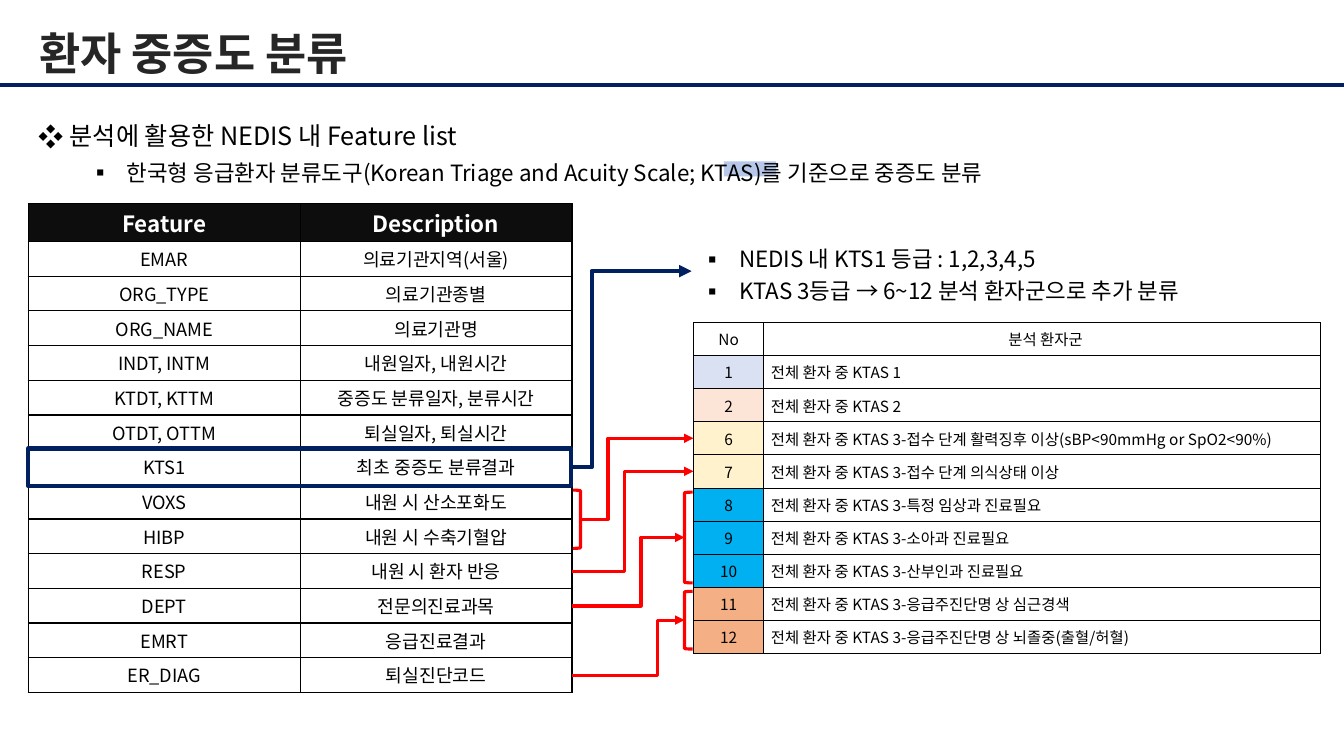
from dataclasses import dataclass

from lxml import etree
from pptx import Presentation
from pptx.dml.color import RGBColor
from pptx.enum.shapes import MSO_CONNECTOR, MSO_SHAPE
from pptx.enum.text import MSO_ANCHOR, PP_ALIGN
from pptx.oxml.ns import qn
from pptx.util import Pt

CENTER, LEFT = PP_ALIGN.CENTER, PP_ALIGN.LEFT
MIDDLE = MSO_ANCHOR.MIDDLE
STRAIGHT, ELBOW = MSO_CONNECTOR.STRAIGHT, MSO_CONNECTOR.ELBOW
RECTANGLE, BRACKET = MSO_SHAPE.RECTANGLE, MSO_SHAPE.RIGHT_BRACKET


@dataclass(frozen=True)
class Theme:
    ink: str = "000000"
    heading: str = "262626"
    navy: str = "002060"
    red: str = "FF0000"
    white: str = "FFFFFF"
    header: str = "0D0D0D"
    highlight: str = "8FAADC"
    lavender: str = "D9E1F2"
    peach: str = "FCE4D6"
    cream: str = "FFF2CC"
    blue: str = "00B0F0"
    orange: str = "F4B084"
    heading_font: str = "Calibri"
    body_font: str = "Noto Sans CJK KR"
    title_size: float = 32
    lead_size: float = 18
    point_size: float = 16
    feature_size: float = 13
    group_size: float = 11
    thick: float = 3
    medium: float = 2.25


THEME = Theme()


@dataclass(frozen=True)
class Box:
    left: float
    top: float
    width: float
    height: float

    @property
    def right(self):
        return self.left + self.width

    @property
    def middle(self):
        return self.top + self.height / 2

    @property
    def points(self):
        return Pt(self.left), Pt(self.top), Pt(self.width), Pt(self.height)


@dataclass(frozen=True)
class Grid:
    box: Box
    header: float
    row: float

    def rows(self, first, last):
        top = self.box.top + self.header + self.row * (first - 1)
        return Box(self.box.left, top, self.box.width, self.row * (last - first + 1))


FEATURES = [
    ("EMAR", "의료기관지역(서울)"),
    ("ORG_TYPE", "의료기관종별"),
    ("ORG_NAME", "의료기관명"),
    ("INDT, INTM", "내원일자, 내원시간"),
    ("KTDT, KTTM", "중증도 분류일자, 분류시간"),
    ("OTDT, OTTM", "퇴실일자, 퇴실시간"),
    ("KTS1", "최초 중증도 분류결과"),
    ("VOXS", "내원 시 산소포화도"),
    ("HIBP", "내원 시 수축기혈압"),
    ("RESP", "내원 시 환자 반응"),
    ("DEPT", "전문의진료과목"),
    ("EMRT", "응급진료결과"),
    ("ER_DIAG", "퇴실진단코드"),
]
GROUPS = [
    ("1", "전체 환자 중 KTAS 1", THEME.lavender),
    ("2", "전체 환자 중 KTAS 2", THEME.peach),
    ("6", "전체 환자 중 KTAS 3-접수 단계 활력징후 이상(sBP<90mmHg or SpO2<90%)", THEME.cream),
    ("7", "전체 환자 중 KTAS 3-접수 단계 의식상태 이상", THEME.cream),
    ("8", "전체 환자 중 KTAS 3-특정 임상과 진료필요", THEME.blue),
    ("9", "전체 환자 중 KTAS 3-소아과 진료필요", THEME.blue),
    ("10", "전체 환자 중 KTAS 3-산부인과 진료필요", THEME.blue),
    ("11", "전체 환자 중 KTAS 3-응급주진단명 상 심근경색", THEME.orange),
    ("12", "전체 환자 중 KTAS 3-응급주진단명 상 뇌졸중(출혈/허혈)", THEME.orange),
]


def write(paragraph, words, *, size, color=THEME.ink, font=THEME.body_font, bold=False,
          align=LEFT, bullet=None, margin=0, hang=0, level=0, spacing=None):
    if bullet:
        properties = paragraph._p.get_or_add_pPr()
        properties.set("marL", str(Pt(margin)))
        properties.set("indent", str(-Pt(hang)))
        etree.SubElement(properties, qn("a:buFont")).set("typeface", THEME.body_font)
        etree.SubElement(properties, qn("a:buChar")).set("char", bullet)
    paragraph.alignment = align
    paragraph.level = level
    if spacing:
        paragraph.line_spacing = spacing
    run = paragraph.add_run()
    run.text = words
    run.font.size, run.font.bold, run.font.name = Pt(size), bold, font
    run.font.color.rgb = RGBColor.from_string(color)
    etree.SubElement(run._r.get_or_add_rPr(), qn("a:ea")).set("typeface", THEME.body_font)


def text_frame(slide, box):
    frame = slide.shapes.add_textbox(*box.points).text_frame
    frame.word_wrap = True
    return frame


def add_line(slide, kind, start, end, color, weight):
    line = slide.shapes.add_connector(kind, *(Pt(v) for v in (*start, *end)))
    line.line.color.rgb = RGBColor.from_string(color)
    line.line.width = Pt(weight)
    etree.SubElement(line._element.spPr, qn("a:effectLst"))
    return line


def add_arrow(slide, start, end, bend, color=THEME.red, weight=THEME.medium):
    arrow = add_line(slide, ELBOW, start, end, color, weight)
    guides = arrow._element.spPr.find(qn("a:prstGeom")).get_or_add_avLst()
    ratio = round(bend / (end[0] - start[0]) * 100000)
    etree.SubElement(guides, qn("a:gd"), name="adj1", fmla=f"val {ratio}")
    etree.SubElement(arrow.line._get_or_add_ln(), qn("a:tailEnd"), type="triangle")


def add_outline(slide, kind, box, color, weight, rotation=0):
    outline = slide.shapes.add_shape(kind, *box.points)
    outline.shadow.inherit = False
    outline.fill.background()
    outline.line.color.rgb = RGBColor.from_string(color)
    outline.line.width = Pt(weight)
    outline.rotation = rotation


def style_cell(cell, words, fill, border, margins, **text_format):
    properties = cell._tc.get_or_add_tcPr()
    for side in ("a:lnL", "a:lnR", "a:lnT", "a:lnB"):
        edge = etree.SubElement(properties, qn(side), w=str(Pt(border)))
        paint = etree.SubElement(edge, qn("a:solidFill"))
        etree.SubElement(paint, qn("a:srgbClr"), val=THEME.ink)
    if fill:
        cell.fill.solid()
        cell.fill.fore_color.rgb = RGBColor.from_string(fill)
    else:
        cell.fill.background()
    cell.vertical_anchor = MIDDLE
    cell.margin_left, cell.margin_top, cell.margin_right, cell.margin_bottom = map(Pt, margins)
    write(cell.text_frame.paragraphs[0], words, **text_format)


def add_grid(slide, grid, row_count, widths):
    table = slide.shapes.add_table(row_count, len(widths), *grid.box.points).table
    table.first_row = table.horz_banding = False
    for column, width in zip(table.columns, widths):
        column.width = Pt(width)
    for index, row in enumerate(table.rows):
        row.height = Pt(grid.row if index else grid.header)
    return table


def add_title(slide, box):
    write(text_frame(slide, box).paragraphs[0], "환자 중증도 분류", size=THEME.title_size,
          color=THEME.heading, font=THEME.heading_font, bold=True)
    add_line(slide, STRAIGHT, (0, box.top + box.height), (960, box.top + box.height),
             THEME.navy, THEME.thick)


def add_lead(slide, box):
    mark = slide.shapes.add_shape(
        RECTANGLE, *Box(box.left + 496.8, box.top + 37.4, 37.4, 10.8).points)
    mark.shadow.inherit = False
    mark.line.fill.background()
    mark.fill.solid()
    mark.fill.fore_color.rgb = RGBColor.from_string(THEME.highlight)
    tint = mark._element.spPr.find(qn("a:solidFill"))[0]
    etree.SubElement(tint, qn("a:alpha"), val="65000")
    frame = text_frame(slide, box)
    write(frame.paragraphs[0], "분석에 활용한 NEDIS 내 Feature list", size=THEME.lead_size,
          bullet="❖", margin=22.5, hang=22.5, spacing=1.2)
    scale = frame.add_paragraph()
    write(scale, "한국형 응급환자 분류도구(Korean Triage and Acuity Scale; KTAS)를 기준으로 중증도 분류",
          size=THEME.point_size, bullet="▪", margin=63.4, hang=27, level=1, spacing=1.2)
    write(scale, " ", size=THEME.lead_size, level=1)


def add_features(slide, grid):
    table = add_grid(slide, grid, len(FEATURES) + 1, [grid.box.width / 2] * 2)
    for r, row in enumerate([("Feature", "Description"), *FEATURES]):
        look = (dict(size=THEME.feature_size) if r else
                dict(size=THEME.point_size, color=THEME.white, bold=True))
        for c, words in enumerate(row):
            style_cell(table.cell(r, c), words, None if r else THEME.header, 1,
                       (7.2, 1.5, 7.2, 1.5), align=CENTER, **look)
    kts = grid.rows(7, 7)
    add_outline(slide, RECTANGLE, Box(kts.left, kts.top - 1, kts.width - 1, kts.height + 2),
                THEME.navy, THEME.thick)


def add_groups(slide, grid):
    table = add_grid(slide, grid, len(GROUPS) + 1, [49.5, grid.box.width - 49.5])
    for r, (number, group, fill) in enumerate([("No", "분석 환자군", None), *GROUPS]):
        style_cell(table.cell(r, 0), number, fill, 0.5, (0.7, 0, 0, 0),
                   size=THEME.group_size, align=CENTER)
        style_cell(table.cell(r, 1), group, None, 0.5, (5.7, 0, 0, 0),
                   size=THEME.group_size, align=LEFT if r else CENTER)


def add_notes(slide, box):
    frame = text_frame(slide, box)
    grades = "NEDIS 내 KTS1 등급 : 1,2,3,4,5"
    split = "KTAS 3등급 → 6~12 분석 환자군으로 추가 분류"
    for paragraph, words in ((frame.paragraphs[0], grades), (frame.add_paragraph(), split)):
        write(paragraph, words, size=THEME.point_size, bullet="▪", margin=27, hang=27, spacing=1.2)


def add_links(slide, features, groups, notes):
    edge, target = features.box.right, groups.box.left
    bends = [14 + 11.75 * lane for lane in range(5)]
    vitals = features.rows(8, 9)
    add_outline(slide, BRACKET, Box(edge + 0.6, vitals.top + 4, 5.4, vitals.height - 8),
                THEME.red, THEME.medium)
    add_arrow(slide, (edge + 6, vitals.middle), (target, groups.rows(3, 3).middle), bends[1] - 6)
    add_arrow(slide, (edge, features.rows(10, 10).middle),
              (target, groups.rows(4, 4).middle), bends[2])
    for feature, first, last, bend in ((11, 5, 7, bends[3]), (13, 8, 9, bends[4])):
        span = groups.rows(first, last)
        add_outline(slide, BRACKET, Box(target - 6.5, span.top + 3, 5.8, span.height - 6),
                    THEME.red, THEME.medium, rotation=180)
        add_arrow(slide, (edge, features.rows(feature, feature).middle),
                  (target - 6.5, span.middle), bend)
    add_arrow(slide, (edge, features.rows(7, 7).middle), (notes.left, notes.middle),
              bends[0], THEME.navy, THEME.thick)


def main():
    deck = Presentation()
    deck.slide_width, deck.slide_height = Pt(960), Pt(540)
    slide = deck.slides.add_slide(deck.slide_layouts[6])
    features = Grid(Box(20.2, 145.5, 388.4, 349.4), 27, 24.8)
    groups = Grid(Box(495.4, 230.4, 447.8, 236.2), 23.62, 23.62)
    notes = Box(494, 167.8, 388, 51.8)
    add_title(slide, Box(20.9, 14.5, 924.5, 46))
    add_lead(slide, Box(20.2, 77.8, 925, 57))
    add_groups(slide, groups)
    add_notes(slide, notes)
    add_features(slide, features)
    add_links(slide, features, groups, notes)
    deck.save("out.pptx")


if __name__ == "__main__":
    main()
